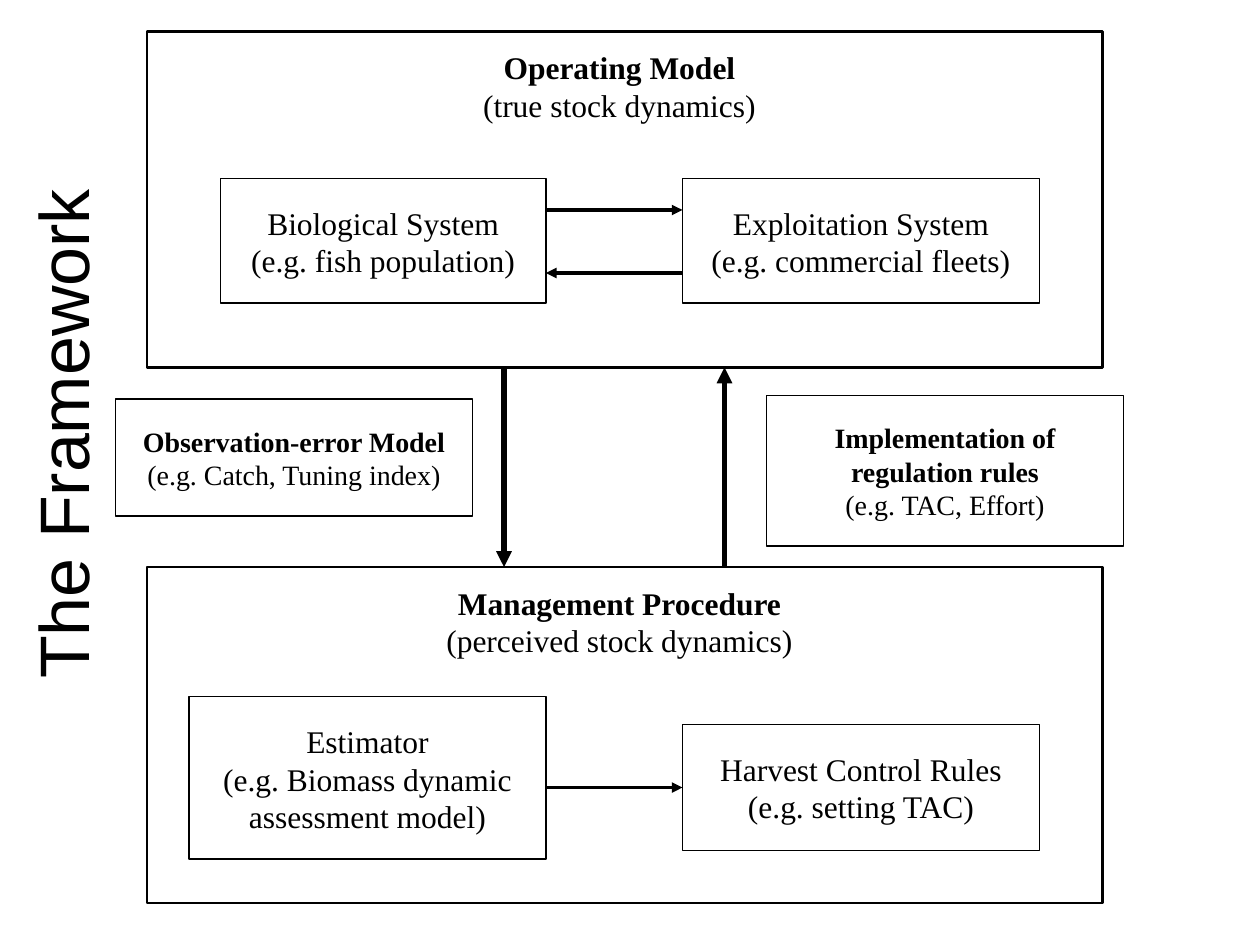
from pptx import Presentation
from pptx.dml.color import RGBColor
from pptx.enum import shapes, text
from pptx.oxml import ns
from pptx.util import Pt
from lxml import etree

BLACK = "000000"
SERIF = "Times New Roman"


def color(value):
    return RGBColor.from_string(value)


def place(shape, left, top, width, height):
    shape.left, shape.top = Pt(left), Pt(top)
    shape.width, shape.height = Pt(width), Pt(height)


def set_margins(frame, horizontal, vertical):
    frame.margin_left = frame.margin_right = Pt(horizontal)
    frame.margin_top = frame.margin_bottom = Pt(vertical)


def format_paragraph(paragraph, size, font_name):
    paragraph.alignment = text.PP_ALIGN.CENTER
    paragraph.font.size = Pt(size)
    paragraph.font.name = font_name
    paragraph.font.color.rgb = color(BLACK)


def add_title(slide, wording):
    title = slide.shapes.title
    place(title, -117.5, 217, 305, 62)
    title.rotation = 270
    frame = title.text_frame
    frame.text = wording
    frame.word_wrap = True
    frame.auto_size = text.MSO_AUTO_SIZE.NONE
    frame.vertical_anchor = text.MSO_ANCHOR.MIDDLE
    set_margins(frame, 7.2, 3.6)
    format_paragraph(frame.paragraphs[0], 40, "Arial")


def write_lines(shape, heading, detail, size=18, bold=False, margins=(14.4, 14.4)):
    frame = shape.text_frame
    frame.word_wrap = True
    frame.vertical_anchor = text.MSO_ANCHOR.TOP
    set_margins(frame, *margins)
    paragraph = frame.paragraphs[0]
    format_paragraph(paragraph, size, SERIF)
    heading_run = paragraph.add_run()
    heading_run.text = heading
    heading_run.font.bold = bold
    paragraph.add_line_break()
    paragraph.add_run().text = detail


def add_box(slide, left, top, width, height, line_width=1):
    box = slide.shapes.add_shape(
        shapes.MSO_SHAPE.RECTANGLE, Pt(left), Pt(top), Pt(width), Pt(height))
    box.shadow.inherit = False
    box.fill.background()
    box.line.color.rgb = color(BLACK)
    box.line.width = Pt(line_width)
    return box


def add_model(slide, top, heading, detail):
    add_box(slide, 84, top, 546, 192, 1.5)
    label = slide.shapes.add_textbox(Pt(204), Pt(top + 6), Pt(300), Pt(50))
    write_lines(label, heading, detail, bold=True, margins=(7.2, 3.6))


def add_arrow(slide, start, end, width):
    arrow = slide.shapes.add_connector(
        shapes.MSO_CONNECTOR.STRAIGHT, *map(Pt, start + end))
    arrow.line.color.rgb = color(BLACK)
    arrow.line.width = Pt(width)
    etree.SubElement(arrow.line._get_or_add_ln(), ns.qn("a:tailEnd"), type="triangle")
    etree.SubElement(arrow._element.spPr, ns.qn("a:effectLst"))
    return arrow


def main():
    presentation = Presentation()
    presentation.slide_width, presentation.slide_height = Pt(720), Pt(540)
    slide = presentation.slides.add_slide(presentation.slide_layouts[5])
    add_title(slide, "The Framework")

    add_model(slide, 18, "Operating Model", "(true stock dynamics)")
    add_model(slide, 324, "Management Procedure", "(perceived stock dynamics)")

    biological = add_box(slide, 126, 102, 186, 71)
    write_lines(biological, "Biological System", "(e.g. fish population)")
    exploitation = add_box(slide, 390, 102, 204, 71)
    write_lines(exploitation, "Exploitation System", "(e.g. commercial fleets)")
    estimator = add_box(slide, 108, 398, 204, 93)
    write_lines(estimator, "Estimator", "(e.g. Biomass dynamic assessment model)")
    harvest = add_box(slide, 390, 414, 204, 72)
    write_lines(harvest, "Harvest Control Rules", "(e.g. setting TAC)")
    observation = add_box(slide, 66, 228, 204, 67)
    write_lines(observation, "Observation-error Model",
                "(e.g. Catch, Tuning index)", 16, True)
    implementation = add_box(slide, 438, 226, 204, 86)
    write_lines(implementation, "Implementation of regulation rules",
                "(e.g. TAC, Effort)", 16, True)

    add_arrow(slide, (312, 120), (390, 120), 2)
    add_arrow(slide, (390, 156), (312, 156), 2)
    add_arrow(slide, (312, 450), (390, 450), 2).end_connect(harvest, 1)
    add_arrow(slide, (288, 210), (288, 324), 3)
    add_arrow(slide, (414, 324), (414, 210), 3)

    presentation.save("out.pptx")


if __name__ == "__main__":
    main()
